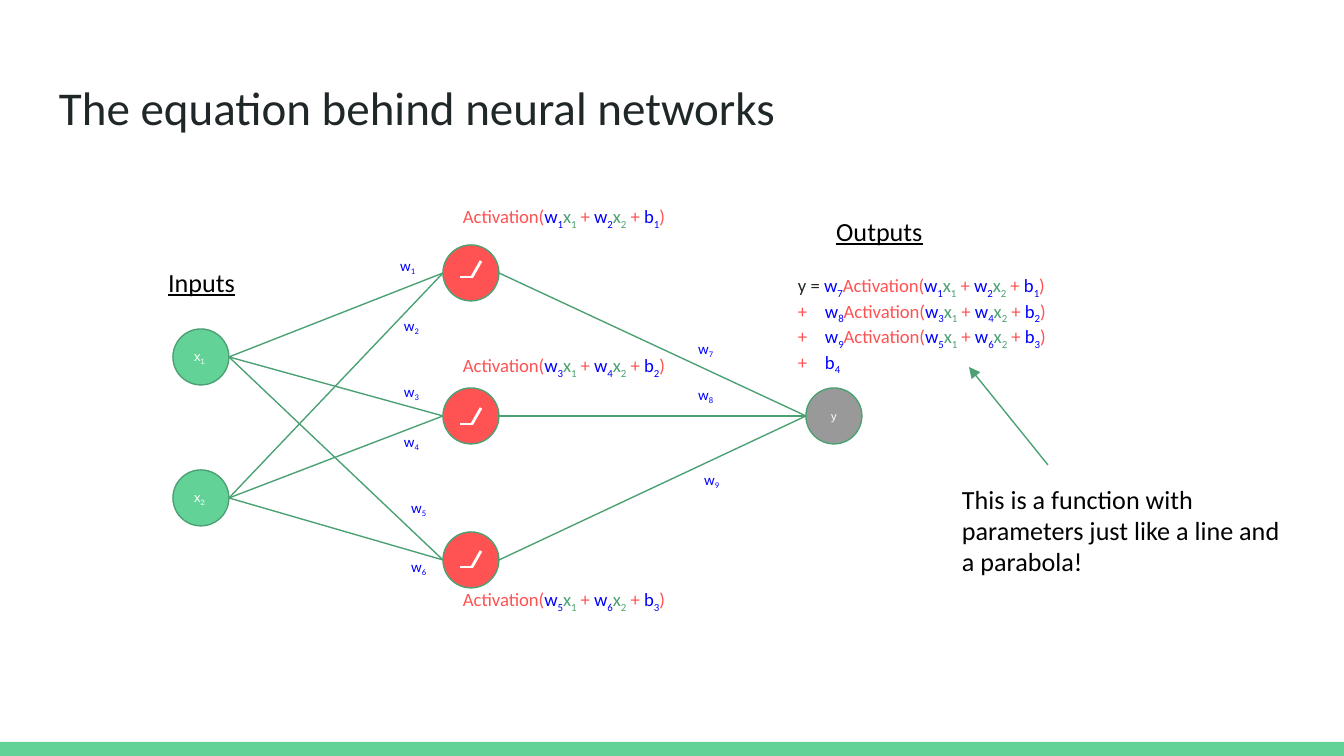
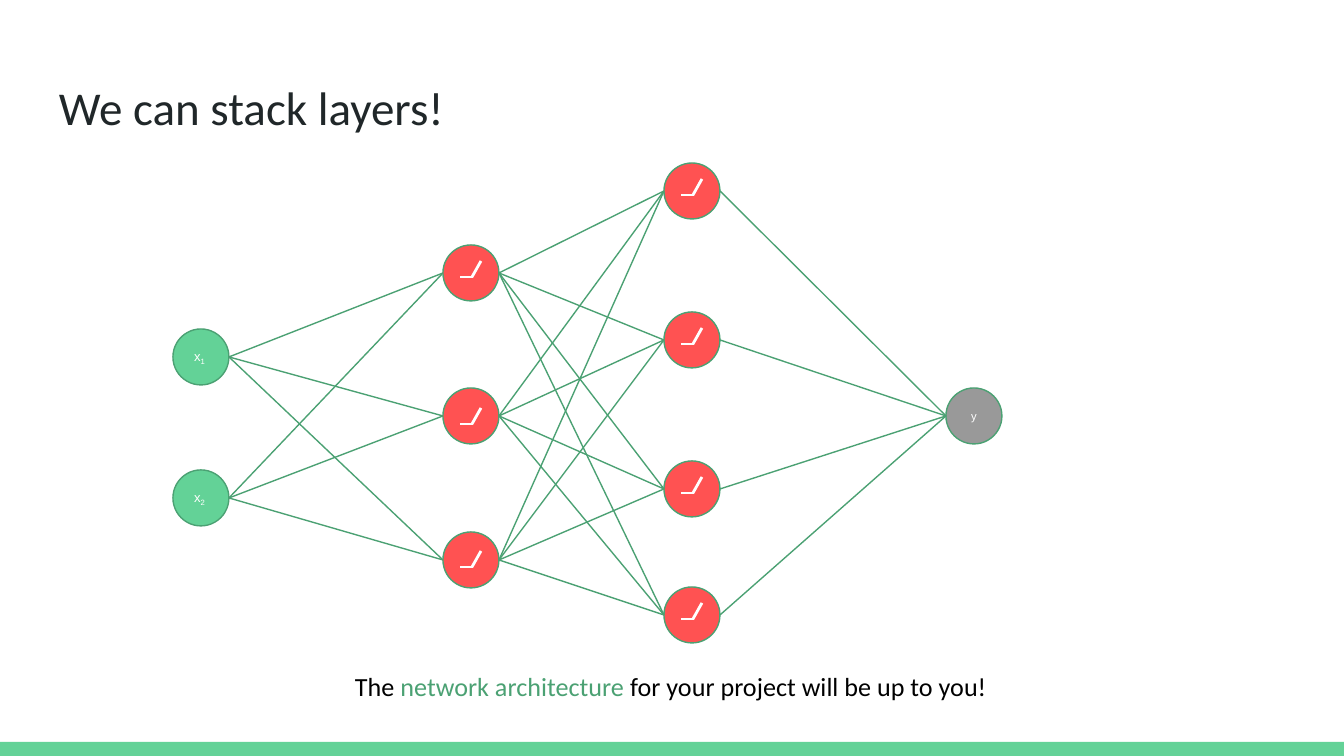
from itertools import product

from lxml.etree import SubElement
from pptx import Presentation
from pptx.dml.color import RGBColor
from pptx.enum.shapes import MSO_CONNECTOR, MSO_SHAPE
from pptx.enum.text import MSO_ANCHOR, PP_ALIGN
from pptx.oxml.ns import qn
from pptx.util import Emu, Pt

WIDTH, HEIGHT = 1344, 756
EMU_PER_PX = 9144000 / WIDTH

INK, BLACK, WHITE = "202729", "000000", "FFFFFF"
MINT, GREEN, RED, BLUE, GREY = "63D297", "4BA173", "FF5252", "0000FF", "999999"
SYMBOL_COLORS = {"w": BLUE, "b": BLUE, "x": GREEN}

DIAMETER = 56
RADIUS = DIAMETER // 2
INPUT_LEFT, INPUT_TOPS = 173, (329, 470)
HIDDEN_LEFT, HIDDEN_TOPS = 443, (245, 388, 532)
HIDDEN_DROPS = (32, 36, 35)
SECOND_LEFT, SECOND_TOPS = 664, (163, 312, 461, 587)
OUTPUT_TOP = 388


def px(value):
    return Emu(round(value * EMU_PER_PX))


def rgb(color):
    return RGBColor.from_string(color)


def formula(text, plain=RED, symbols=SYMBOL_COLORS):
    """Split text into (text, color, subscript) runs; a symbol's digit is lowered."""
    runs, start = [], 0
    for i, char in enumerate(text[:-1]):
        if char in symbols and text[i + 1].isdigit():
            if i > start:
                runs.append((text[start:i], plain, False))
            runs.append((char, symbols[char], False))
            runs.append((text[i + 1], symbols[char], True))
            start = i + 2
    if start < len(text):
        runs.append((text[start:], plain, False))
    return runs


def activation(unit):
    """Formula of a hidden unit, counted from 1."""
    return f"Activation(w{2 * unit - 1}x1 + w{2 * unit}x2 + b{unit})"


class Deck:
    def __init__(self):
        self.presentation = Presentation()
        self.presentation.slide_width = px(WIDTH)
        self.presentation.slide_height = px(HEIGHT)
        self.shapes = None

    def new_slide(self, title):
        layout = self.presentation.slide_layouts[6]
        self.shapes = self.presentation.slides.add_slide(layout).shapes
        self.shape(MSO_SHAPE.RECTANGLE, (0, 742, WIDTH, 14), MINT)
        self.text((46, 66, 1253, 85), [[(title, INK, False)]], size=25.2)

    def shape(self, kind, box, fill, line=None, shapes=None):
        shape = (shapes or self.shapes).add_shape(kind, *map(px, box))
        shape.shadow.inherit = False
        shape.fill.solid()
        shape.fill.fore_color.rgb = rgb(fill)
        if line:
            shape.line.color.rgb = rgb(line)
            shape.line.width = Pt(0.75)
        else:
            shape.line.fill.background()
        return shape

    def fill_text(self, frame, paragraphs, align=PP_ALIGN.LEFT,
                  anchor=MSO_ANCHOR.TOP, tab=None, **font):
        """Fill a text frame with paragraphs, each a list of formula() runs."""
        inset = px(13)
        frame_format = dict(word_wrap=True, vertical_anchor=anchor,
                            margin_left=inset, margin_right=inset,
                            margin_top=inset, margin_bottom=inset)
        for name, value in frame_format.items():
            setattr(frame, name, value)
        font_format = {"name": "Calibri", **font, "size": Pt(font["size"])}
        for i, runs in enumerate(paragraphs):
            paragraph = frame.add_paragraph() if i else frame.paragraphs[0]
            paragraph.alignment = align
            if tab:
                tabs = SubElement(paragraph._p.get_or_add_pPr(), qn("a:tabLst"))
                SubElement(tabs, qn("a:tab"), pos=str(px(tab)), algn="l")
            for text, color, subscript in runs:
                run = paragraph.add_run()
                run.text = text
                for name, value in font_format.items():
                    setattr(run.font, name, value)
                run.font.color.rgb = rgb(color)
                if subscript:
                    run._r.get_or_add_rPr().set("baseline", "-25000")

    def text(self, box, paragraphs, **style):
        frame = self.shapes.add_textbox(*map(px, box)).text_frame
        self.fill_text(frame, paragraphs, **style)

    def line(self, start, end, color=GREEN, width=0.75, arrow=False, shapes=None):
        line = (shapes or self.shapes).add_connector(
            MSO_CONNECTOR.STRAIGHT, *map(px, start + end))
        line.line.color.rgb = rgb(color)
        line.line.width = Pt(width)
        properties = line._element.spPr
        if arrow:
            SubElement(properties.find(qn("a:ln")), qn("a:tailEnd"), type="triangle")
        SubElement(properties, qn("a:effectLst"))

    def node(self, left, top, fill, runs, size, align=PP_ALIGN.LEFT):
        circle = self.shape(MSO_SHAPE.OVAL, (left, top, DIAMETER, DIAMETER), fill, GREEN)
        self.fill_text(circle.text_frame, [runs], align=align, anchor=MSO_ANCHOR.MIDDLE,
                       name="Arial", size=size)

    def neuron(self, left, top, drop=32):
        """Hidden unit with a ReLU curve whose flat part lies drop px below the top."""
        unit = self.shapes.add_group_shape().shapes
        self.shape(MSO_SHAPE.OVAL, (left, top, DIAMETER, DIAMETER), RED, GREEN, unit)
        flat = top + drop
        self.line((left + 17, flat), (left + 30, flat), WHITE, 1.5, shapes=unit)
        self.line((left + 38, flat - 16), (left + 29, flat), WHITE, 1.5, shapes=unit)

    def edges(self, left, tops, next_left, next_tops):
        for top, next_top in product(tops, next_tops):
            self.line((left + DIAMETER, top + RADIUS), (next_left, next_top + RADIUS))

    def first_layers(self):
        for number, top in enumerate(INPUT_TOPS, 1):
            self.node(INPUT_LEFT, top, MINT, formula(f"x{number}", symbols={"x": WHITE}), 7)
        self.edges(INPUT_LEFT, INPUT_TOPS, HIDDEN_LEFT, HIDDEN_TOPS)
        for top, drop in zip(HIDDEN_TOPS, HIDDEN_DROPS):
            self.neuron(HIDDEN_LEFT, top, drop)

    def output(self, left, previous_left, previous_tops):
        self.node(left, OUTPUT_TOP, GREY, [("y", WHITE, False)], 6, PP_ALIGN.CENTER)
        self.edges(previous_left, previous_tops, left, [OUTPUT_TOP])


def equation_slide(deck):
    deck.new_slide("The equation behind neural networks")
    deck.first_layers()
    deck.output(806, HIDDEN_LEFT, HIDDEN_TOPS)

    for heading, left, top in (("Inputs", 118, 253), ("Outputs", 796, 202)):
        deck.text((left, top, 167, 59), [[(heading, BLACK, False)]],
                  align=PP_ALIGN.CENTER, size=14, underline=True)

    weight_places = ((387, 246), (391, 306), (391, 372), (391, 422), (398, 488),
                     (398, 547), (685, 329), (685, 375), (691, 460))
    for number, (left, top) in enumerate(weight_places, 1):
        deck.text((left, top, 52, 46), [formula(f"w{number}")], size=8)

    for unit, top in enumerate((192, 341, 575), 1):
        deck.text((435, top, 258, 50), [formula(activation(unit))],
                  align=PP_ALIGN.CENTER, size=10)

    terms = [f"w{unit + 6}{activation(unit)}" for unit in (1, 2, 3)] + ["b4"]
    equation = [[("y = ", INK, False)] + formula(terms[0])]
    equation += [formula(f"+\t{term}") for term in terms[1:]]
    deck.text((785, 261, 309, 118), equation, size=10, tab=27)

    note = "This is a function with parameters just like a line and a parabola!"
    deck.text((949, 470, 349, 122), [[(note, BLACK, False)]], size=14)
    deck.line((1048, 465), (969, 367), arrow=True)


def layers_slide(deck):
    deck.new_slide("We can stack layers!")
    deck.first_layers()
    for top in SECOND_TOPS:
        deck.neuron(SECOND_LEFT, top)
    deck.edges(HIDDEN_LEFT, HIDDEN_TOPS, SECOND_LEFT, SECOND_TOPS)
    deck.output(946, SECOND_LEFT, SECOND_TOPS)
    caption = [("The ", BLACK, False), ("network architecture", GREEN, False),
               (" for your project will be up to you!", BLACK, False)]
    deck.text((185, 657, 972, 59), [caption], align=PP_ALIGN.CENTER, size=14)


def main():
    deck = Deck()
    equation_slide(deck)
    layers_slide(deck)
    deck.presentation.save("out.pptx")


if __name__ == "__main__":
    main()
